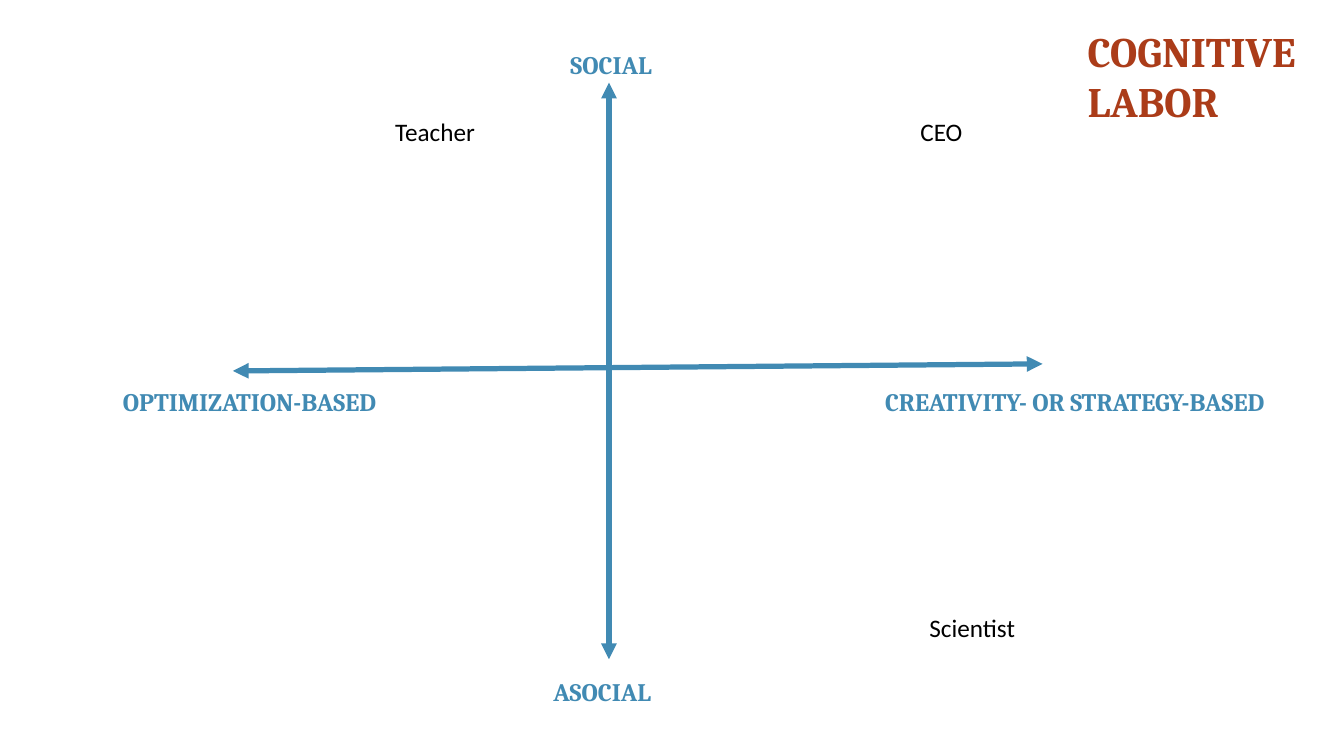
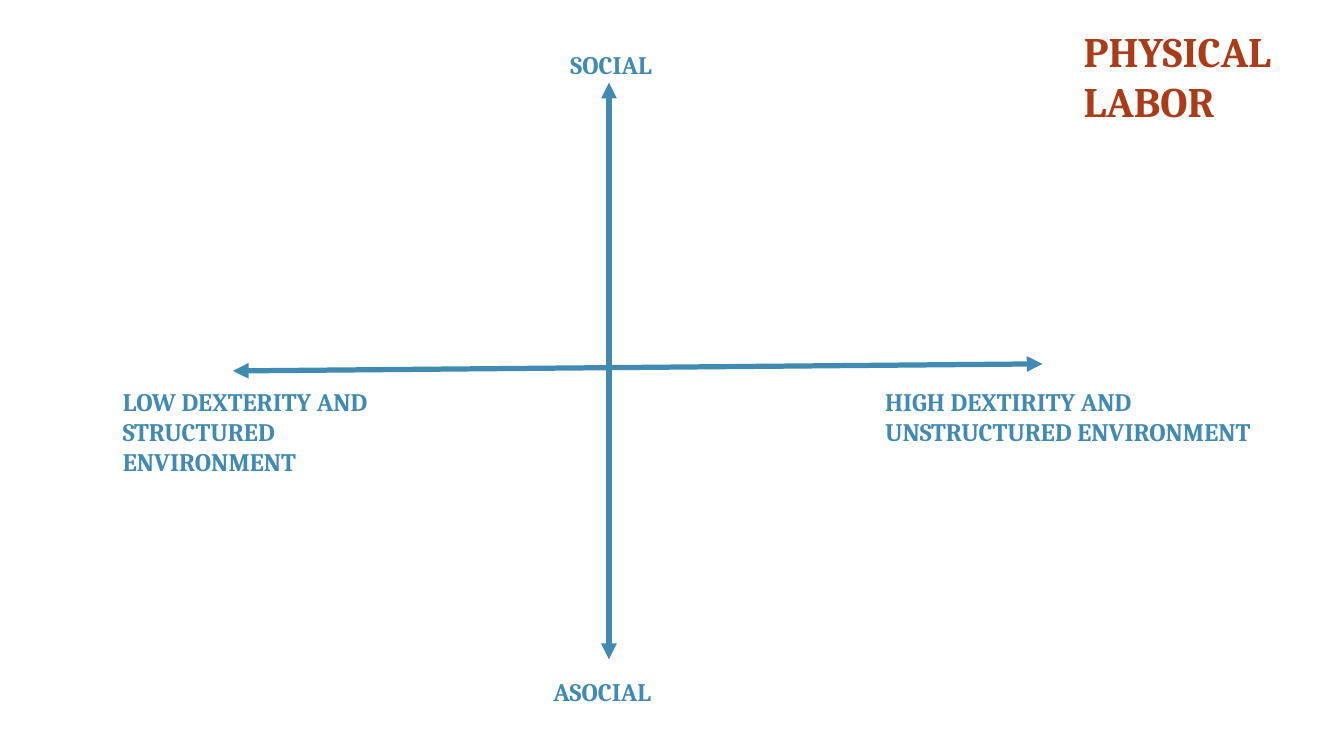
from pptx import Presentation
from pptx.dml.color import RGBColor
from pptx.enum.shapes import MSO_CONNECTOR
from pptx.enum.text import MSO_AUTO_SIZE
from pptx.oxml.ns import qn
from pptx.util import Inches, Pt
from lxml.etree import SubElement

AXIS_BLUE = "418AB3"
AXIS_LABEL = {"name": "Cambria", "size": Pt(18), "bold": True}
TITLE = {"name": "Cambria", "size": Pt(30), "bold": True}
JOB = {"name": "Calibri", "size": Pt(18), "bold": False}


def color(target, hex_value):
    target.rgb = RGBColor.from_string(hex_value)


def add_label(slide, text, box, font_format, hex_value, wrap=True):
    """Add a text box; each line of the text becomes a paragraph."""
    frame = slide.shapes.add_textbox(*map(Inches, box)).text_frame
    frame.word_wrap = wrap
    frame.auto_size = MSO_AUTO_SIZE.SHAPE_TO_FIT_TEXT
    frame.text = text
    for paragraph in frame.paragraphs:
        for attribute, value in font_format.items():
            setattr(paragraph.font, attribute, value)
        color(paragraph.font.color, hex_value)


axes = [(6.04, 0.82, 6.04, 6.54), (2.31, 3.68, 10.34, 3.61)]
shared_labels = [
    ("ASOCIAL", (5.39, 6.66, 1.3, 0.4)),
    ("SOCIAL", (5.56, 0.44, 1.3, 0.4)),
]
matrices = [
    {
        "title": "COGNITIVE LABOR",
        "title_left": 10.69,
        "low_end": ("OPTIMIZATION-BASED", 0.4),
        "high_end": ("CREATIVITY- OR STRATEGY-BASED", 0.4),
        "jobs": [
            ("CEO", (9.03, 1.11, 0.62, 0.4)),
            ("Scientist", (9.12, 6.03, 1.06, 0.4)),
            ("Teacher", (3.82, 1.11, 1, 0.4)),
        ],
    },
    {
        "title": "PHYSICAL\nLABOR",
        "title_left": 10.65,
        "low_end": ("LOW DEXTERITY AND\nSTRUCTURED ENVIRONMENT", 1.01),
        "high_end": ("HIGH DEXTIRITY AND UNSTRUCTURED ENVIRONMENT", 0.71),
        "jobs": [],
    },
]

prs = Presentation()
prs.slide_width, prs.slide_height = Inches(13.33), Inches(7.5)
blank = prs.slide_layouts[6]

for matrix in matrices:
    slide = prs.slides.add_slide(blank)

    for ends in axes:
        axis = slide.shapes.add_connector(MSO_CONNECTOR.STRAIGHT, *map(Inches, ends))
        axis.line.width = Pt(3.75)
        color(axis.line.color, AXIS_BLUE)
        outline = axis.line._get_or_add_ln()
        for arrowhead in ("a:headEnd", "a:tailEnd"):
            SubElement(outline, qn(arrowhead), type="triangle")
        SubElement(axis._element.spPr, qn("a:effectLst"))

    low_text, low_height = matrix["low_end"]
    high_text, high_height = matrix["high_end"]
    axis_labels = [
        (low_text, (1.12, 3.78, 2.85, low_height)),
        (high_text, (8.68, 3.78, 4.23, high_height)),
    ] + shared_labels
    for text, box in axis_labels:
        add_label(slide, text, box, AXIS_LABEL, AXIS_BLUE)

    title_box = (matrix["title_left"], 0.2, 2.6, 1.11)
    add_label(slide, matrix["title"], title_box, TITLE, "AB3C19")

    for job, box in matrix["jobs"]:
        add_label(slide, job, box, JOB, "000000", wrap=False)

prs.save("out.pptx")
